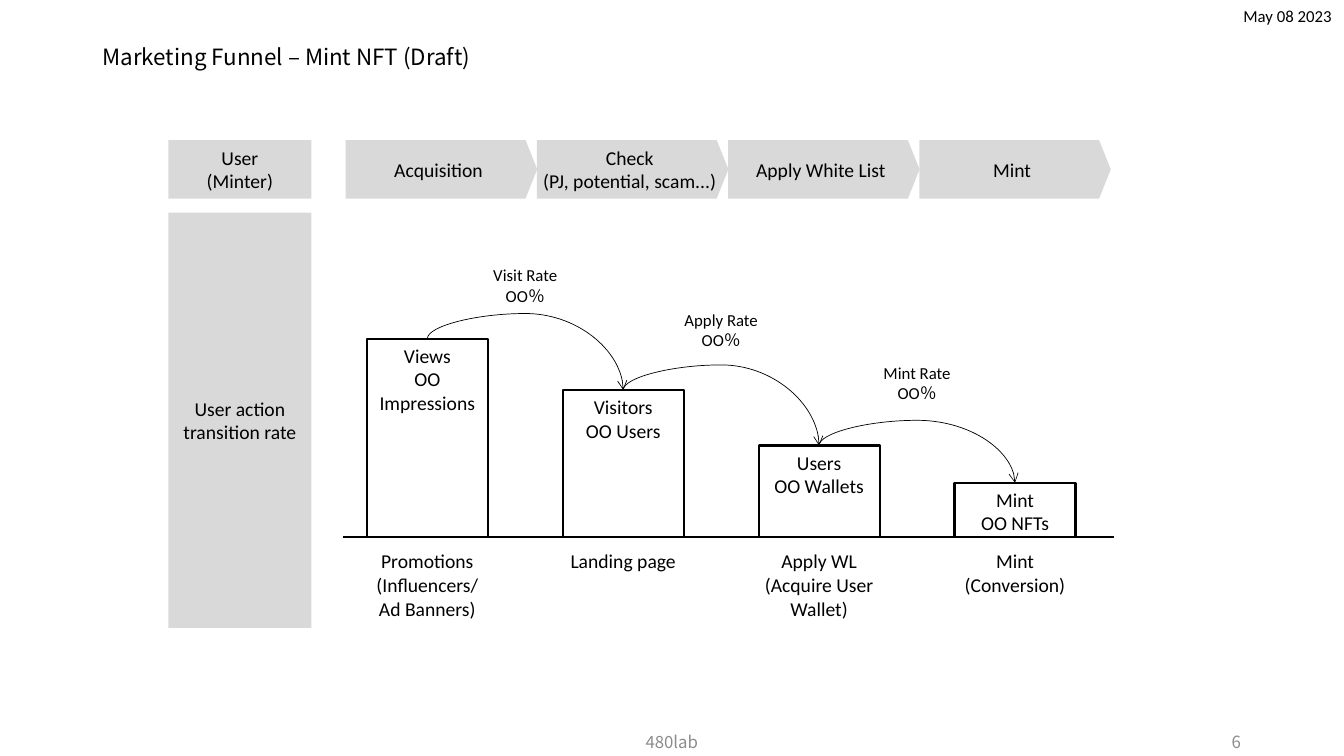
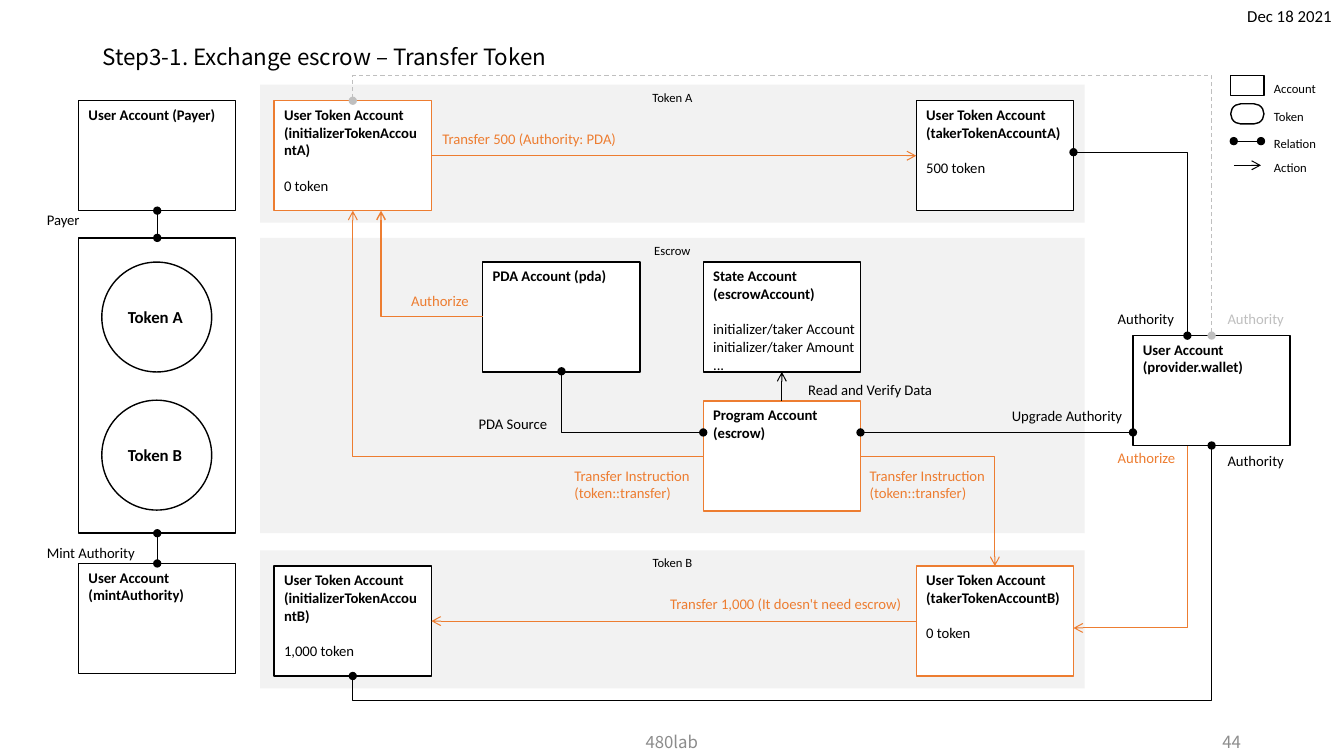
"""Build a marketing funnel slide and an escrow transfer slide."""
from lxml.etree import SubElement
from pptx import Presentation
from pptx.dml.color import RGBColor
from pptx.enum.dml import MSO_LINE
from pptx.enum.shapes import MSO_CONNECTOR, MSO_SHAPE
from pptx.enum.text import MSO_ANCHOR, PP_ALIGN
from pptx.oxml.ns import qn
from pptx.util import Emu, Inches, Pt

COLUMNS = 80
SLIDE_WIDTH, SLIDE_HEIGHT = Emu(12192000), Emu(6858000)
COLORS = {"ink": "000000", "accent": "ED7D31", "muted": "BFBFBF", "footer": "8C8C8C",
          "stage": "D9D9D9", "band": "F2F2F2", "paper": "FFFFFF"}
BODY_FONT, TITLE_FONT = "Calibri", "Noto Sans CJK JP"
LEFT, CENTER, RIGHT = PP_ALIGN.LEFT, PP_ALIGN.CENTER, PP_ALIGN.RIGHT
TOP, MIDDLE = MSO_ANCHOR.TOP, MSO_ANCHOR.MIDDLE
TOP_SIDE, LEFT_SIDE, BOTTOM_SIDE, RIGHT_SIDE = range(4)
DEFAULT_INSETS, STAGE_INSETS, NO_INSETS = (0.1, 0.05), (0, 0.05), (0, 0)
CARD_WIDTH, CARD_HEIGHT = 9.36, 6.54


def grid(*cells):
    """Turn distances in grid cells into whole EMU."""
    return [Emu(round(cell * SLIDE_WIDTH / COLUMNS)) for cell in cells]


def rgb(color):
    """Look up a named colour."""
    return RGBColor.from_string(COLORS[color])


def write(holder, lines, size, color="ink", align=LEFT, anchor=TOP, bold=False,
          insets=DEFAULT_INSETS, wrap=True, font=BODY_FONT, spacing=None, details=()):
    """Write lines, then regular detail lines set off by a gap."""
    frame = holder.text_frame
    frame.word_wrap, frame.vertical_anchor = wrap, anchor
    frame.margin_left = frame.margin_right = Inches(insets[0])
    frame.margin_top = frame.margin_bottom = Inches(insets[1])
    for index, line in enumerate([*lines, *details]):
        paragraph = frame.add_paragraph() if index else frame.paragraphs[0]
        paragraph.alignment = align
        if spacing:
            paragraph.line_spacing = spacing
        if details and index == len(lines):
            paragraph.space_before = Pt(size * 1.22)
        run = paragraph.add_run()
        run.text = line
        run.font.name, run.font.size = font, Pt(size)
        run.font.bold = bold and index < len(lines)
        run.font.color.rgb = rgb(color)


def label(shapes, area, lines, size, **style):
    """Add a free-standing text."""
    text = shapes.add_textbox(*grid(*area))
    write(text, lines, size, **style)


def box(shapes, area, fill=None, line=None, weight=1, kind=MSO_SHAPE.RECTANGLE, corner=None):
    """Add a flat preset shape."""
    panel = shapes.add_shape(kind, *grid(*area))
    panel.shadow.inherit = False
    if corner is not None:
        panel.adjustments[0] = corner
    if fill:
        panel.fill.solid()
        panel.fill.fore_color.rgb = rgb(fill)
    else:
        panel.fill.background()
    if line:
        panel.line.color.rgb = rgb(line)
        panel.line.width = Pt(weight)
    else:
        panel.line.fill.background()
    return panel


def card(shapes, column, row, lines, details=(), line="ink", fill="paper", wrap=True):
    """Add an account card with a bold heading."""
    account = box(shapes, (column, row, CARD_WIDTH, CARD_HEIGHT), fill, line)
    write(account, lines, 10.5, bold=True, wrap=wrap, details=details)
    return account


def stroke(route, color, weight, head, tail, dashed=False):
    """Style a route and its two ends."""
    route.line.color.rgb = rgb(color)
    route.line.width = Pt(weight)
    if dashed:
        route.line.dash_style = MSO_LINE.DASH
    outline = route.element.spPr.find(qn("a:ln"))
    for tag, end in (("a:headEnd", head), ("a:tailEnd", tail)):
        if end:
            SubElement(outline, qn(tag)).set("type", end)


def connector(shapes, start, end, kind=MSO_CONNECTOR.STRAIGHT, color="ink", weight=0.75,
              head=None, tail=None, dashed=False):
    """Add a connector without shadow between two EMU points."""
    route = shapes.add_connector(kind, *start, *end)
    stroke(route, color, weight, head, tail, dashed)
    SubElement(route.element.spPr, qn("a:effectLst"))
    return route


def side_point(shape, side):
    """Find the middle of a shape's side."""
    across = {LEFT_SIDE: 0, RIGHT_SIDE: 2}.get(side, 1)
    down = {TOP_SIDE: 0, BOTTOM_SIDE: 2}.get(side, 1)
    return (Emu(shape.left + shape.width * across // 2),
            Emu(shape.top + shape.height * down // 2))


def join(shapes, source, source_side, target, target_side, **style):
    """Join the sides of two shapes."""
    route = connector(shapes, side_point(source, source_side),
                      side_point(target, target_side), **style)
    route.begin_connect(source, source_side)
    route.end_connect(target, target_side)
    return route


def join_upright(shapes, source, source_side, target, target_side, reach=None, **style):
    """Join two shapes by a route leaving vertically, with an optional reach in rows."""
    route = join(shapes, source, source_side, target, target_side, **style)
    start, end = side_point(source, source_side), side_point(target, target_side)
    across, down = end[0] - start[0], end[1] - start[1]
    route.width, route.height = Emu(abs(down)), Emu(abs(across))
    route.left = Emu((start[0] + end[0] - abs(down)) // 2)
    route.top = Emu((start[1] + end[1] - abs(across)) // 2)
    frame = route.element.spPr.find(qn("a:xfrm"))
    quarter_turns = 1 if down > 0 > across else 3
    frame.set("rot", str(quarter_turns * 5400000))
    frame.set("flipH", str(int(down > 0 and across > 0)))
    frame.set("flipV", str(int(down < 0 and across < 0)))
    geometry = route.element.spPr.find(qn("a:prstGeom"))
    if reach is None:
        geometry.set("prst", "bentConnector2")
        return
    guides = geometry.find(qn("a:avLst"))
    if guides is None:
        guides = SubElement(geometry, qn("a:avLst"))
    guide = SubElement(guides, qn("a:gd"))
    guide.set("name", "adj1")
    guide.set("fmla", f"val {round(grid(reach)[0] / down * 100000)}")


def polyline(shapes, points, color="ink", weight=0.75, head=None, tail=None):
    """Draw an open right-angled route through grid points."""
    start, *turns = [grid(*point) for point in points]
    builder = shapes.build_freeform(*start)
    builder.add_line_segments(turns, close=False)
    route = builder.convert_to_shape()
    route.shadow.inherit = False
    route.fill.background()
    stroke(route, color, weight, head, tail)


def start_slide(deck, title, number, date):
    """Add a blank slide with title, date and footer."""
    shapes = deck.slides.add_slide(deck.slide_layouts[6]).shapes
    label(shapes, (5.52, 2.4, 69, 2.1), [title], 16, anchor=MIDDLE, font=TITLE_FONT, spacing=0.9)
    for column, text, align in ((35.28, "480lab", CENTER), (65.04, number, RIGHT)):
        label(shapes, (column, 43.56, 9.42, 1.14), [text], 12, color="footer",
              align=align, anchor=MIDDLE, font=TITLE_FONT)
    label(shapes, (72.84, 0.06, 7.02, 2.1), [date], 12, align=RIGHT)
    return shapes


def build_funnel(deck):
    """Build the marketing funnel."""
    shapes = start_slide(deck, "Marketing Funnel – Mint NFT (Draft)", "6", "May 08 2023")
    baseline, first_bar, bar_pitch, bar_width = 31.95, 21.84, 11.66, 7.2
    stages = [["Acquisition"], ["Check", "(PJ, potential, scam...)"], ["Apply White List"], ["Mint"]]
    steps = [
        (20.16, ["Views", "OO Impressions"], ["Promotions", "(Influencers/", "Ad Banners)"]),
        (23.22, ["Visitors", "OO Users"], ["Landing page"]),
        (26.52, ["Users", "OO Wallets"], ["Apply WL", "(Acquire User", "Wallet)"]),
        (28.74, ["Mint", "OO NFTs"], ["Mint", "(Conversion)"]),
    ]
    rates = [(15.66, "Visit Rate"), (18.3, "Apply Rate"), (21.48, "Mint Rate")]

    headings = [((10.02, 8.34, 8.52, 3.48), ["User", "(Minter)"]),
                ((10.02, 12.66, 8.52, 24.72), ["User action", "transition rate"])]
    for area, lines in headings:
        heading = box(shapes, area, "stage")
        write(heading, lines, 14, align=CENTER, anchor=MIDDLE, insets=STAGE_INSETS)
    for index, lines in enumerate(stages):
        stage = box(shapes, (20.58 + index * 11.38, 8.34, 11.4, 3.48), "stage",
                    kind=MSO_SHAPE.PENTAGON, corner=0.2)
        write(stage, lines, 14, align=CENTER, anchor=MIDDLE, insets=STAGE_INSETS)

    bars = []
    for index, (top, lines, caption) in enumerate(steps):
        column = first_bar + index * bar_pitch
        bar = box(shapes, (column, top, bar_width, baseline - top), line="ink", weight=1.5)
        write(bar, lines, 14, align=CENTER)
        bars.append(bar)
        label(shapes, (column, 32.7, bar_width, 4.68), caption, 14, align=CENTER,
              insets=NO_INSETS, wrap=False)
    connector(shapes, grid(20.4, baseline), grid(66.3, baseline), weight=1.5)

    for index, (top, name) in enumerate(rates):
        join_upright(shapes, bars[index], TOP_SIDE, bars[index + 1], TOP_SIDE, reach=-1.5,
                     kind=MSO_CONNECTOR.CURVE, weight=0.5, tail="arrow")
        middle = first_bar + (index + 0.5) * bar_pitch + bar_width / 2
        label(shapes, (middle - 3.18, top, 6.36, 2.64), [name, "OO％"], 12,
              align=CENTER, anchor=MIDDLE, insets=NO_INSETS)


def build_legend(shapes):
    """Build the key to shapes and lines."""
    legend = shapes.add_group_shape().shapes
    box(legend, (73.26, 4.5, 1.98, 1.2), line="ink")
    box(legend, (73.26, 6.18, 1.98, 1.2), line="ink", kind=MSO_SHAPE.ROUNDED_RECTANGLE, corner=0.5)
    for row, head, tail in ((8.4, "oval", "oval"), (9.84, None, "arrow")):
        connector(legend, grid(73.44, row), grid(75.06, row), head=head, tail=tail)
    for row, name in ((4.5, "Account"), (6.18, "Token"), (7.8, "Relation"), (9.24, "Action")):
        label(legend, (75.24, row, 4.5, 1.2), [name], 9, wrap=False)


def build_escrow(deck):
    """Build the escrow transfer diagram."""
    shapes = start_slide(deck, "Step3-1. Exchange escrow – Transfer Token", "44", "Dec 18 2021")
    for row, height, name in ((5.04, 8.22, "Token A"), (14.16, 17.58, "Escrow"),
                              (32.76, 8.22, "Token B")):
        band = box(shapes, (15.48, row, 49.08, height), "band")
        write(band, [name], 9, align=CENTER)

    payer = card(shapes, 4.68, 6, ["User Account (Payer)"], fill=None)
    minter = card(shapes, 4.68, 33.54, ["User Account (mintAuthority)"], fill=None)
    mint = box(shapes, (4.68, 14.16, CARD_WIDTH, 17.58), line="ink")
    for row, name in ((15.6, "Token A"), (23.82, "Token B")):
        token = box(shapes, (6.06, row, CARD_HEIGHT, CARD_HEIGHT), line="ink",
                    kind=MSO_SHAPE.ROUNDED_RECTANGLE, corner=0.5)
        write(token, [name], 12, anchor=MIDDLE, bold=True)

    wallet = card(shapes, 67.44, 19.98, ["User Account (provider.wallet)"], fill=None)
    initializer_a, initializer_b, taker_a, taker_b = [
        card(shapes, column, row, [f"User Token Account ({owner})"], [balance], line)
        for column, row, owner, balance, line in (
            (16.32, 6, "initializerTokenAccountA", "0 token", "accent"),
            (16.32, 33.7, "initializerTokenAccountB", "1,000 token", "ink"),
            (54.54, 6, "takerTokenAccountA", "500 token", "ink"),
            (54.54, 33.7, "takerTokenAccountB", "0 token", "accent"))]
    card(shapes, 28.74, 15.6, ["PDA Account (pda)"])
    state = card(shapes, 41.86, 15.6, ["State Account", "(escrowAccount)"],
                 ["initializer/taker Account", "initializer/taker Amount", "..."], wrap=False)
    program = card(shapes, 41.86, 23.88, ["Program Account", "(escrow)"], line="accent")

    relation = {"head": "oval", "tail": "oval"}
    transfer = {"color": "accent", "tail": "arrow"}
    instruction = {"color": "accent", "head": "arrow", "kind": MSO_CONNECTOR.ELBOW}
    join(shapes, payer, BOTTOM_SIDE, mint, TOP_SIDE, **relation)
    join(shapes, mint, BOTTOM_SIDE, minter, TOP_SIDE, **relation)
    join(shapes, state, BOTTOM_SIDE, program, TOP_SIDE, head="arrow")
    join(shapes, initializer_a, RIGHT_SIDE, taker_a, LEFT_SIDE, **transfer)
    join(shapes, taker_b, LEFT_SIDE, initializer_b, RIGHT_SIDE, **transfer)
    join_upright(shapes, wallet, BOTTOM_SIDE, initializer_b, BOTTOM_SIDE, reach=15.2,
                 kind=MSO_CONNECTOR.ELBOW, **relation)
    join_upright(shapes, wallet, TOP_SIDE, initializer_a, TOP_SIDE, reach=-15.48,
                 kind=MSO_CONNECTOR.ELBOW, color="muted", dashed=True, **relation)
    join_upright(shapes, taker_b, TOP_SIDE, program, RIGHT_SIDE, **instruction)
    join_upright(shapes, initializer_a, BOTTOM_SIDE, program, LEFT_SIDE, **instruction)
    connector(shapes, grid(67.44, 25.74), grid(51.22, 25.74), **relation)
    polyline(shapes, [(63.9, 9.06), (70.68, 9.06), (70.68, 19.98)], **relation)
    polyline(shapes, [(63.9, 37.38), (70.68, 37.38), (70.68, 26.52)], "accent", head="arrow")
    polyline(shapes, [(33.42, 22.1), (33.42, 25.74), (41.86, 25.74)], weight=1, **relation)
    polyline(shapes, [(22.68, 12.54), (22.68, 18.84), (28.74, 18.84)], "accent", 1, head="arrow")

    instructed = ["Transfer Instruction", "(token::transfer)"]
    for column, row, width, lines, color in (
            (2.2, 12.24, 6.66, ["Payer"], "ink"),
            (2.2, 32.1, 7.2, ["Mint Authority"], "ink"),
            (72.48, 26.58, 5.4, ["Authority"], "ink"),
            (72.48, 18.12, 5.4, ["Authority"], "muted"),
            (65.94, 18.12, 5.4, ["Authority"], "ink"),
            (65.94, 26.4, 5.4, ["Authorize"], "accent"),
            (23.88, 17.1, 6.12, ["Authorize"], "accent"),
            (47.52, 22.38, 9.6, ["Read and Verify Data"], "ink"),
            (25.74, 7.44, 12.6, ["Transfer 500 (Authority: PDA)"], "accent"),
            (39.3, 35.1, 15.6, ["Transfer 1,000 (It doesn't need escrow)"], "accent"),
            (59.64, 23.94, 8.7, ["Upgrade Authority"], "ink"),
            (27.9, 24.42, 7.44, ["PDA Source"], "ink"),
            (33.6, 27.48, 9, instructed, "accent"),
            (51.18, 27.48, 9, instructed, "accent")):
        label(shapes, (column, row, width, 1.8 * len(lines)), lines, 10.5, color=color, wrap=False)
    build_legend(shapes)


def main():
    """Build and save the deck."""
    deck = Presentation()
    deck.slide_width, deck.slide_height = SLIDE_WIDTH, SLIDE_HEIGHT
    build_funnel(deck)
    build_escrow(deck)
    deck.save("out.pptx")


if __name__ == "__main__":
    main()
